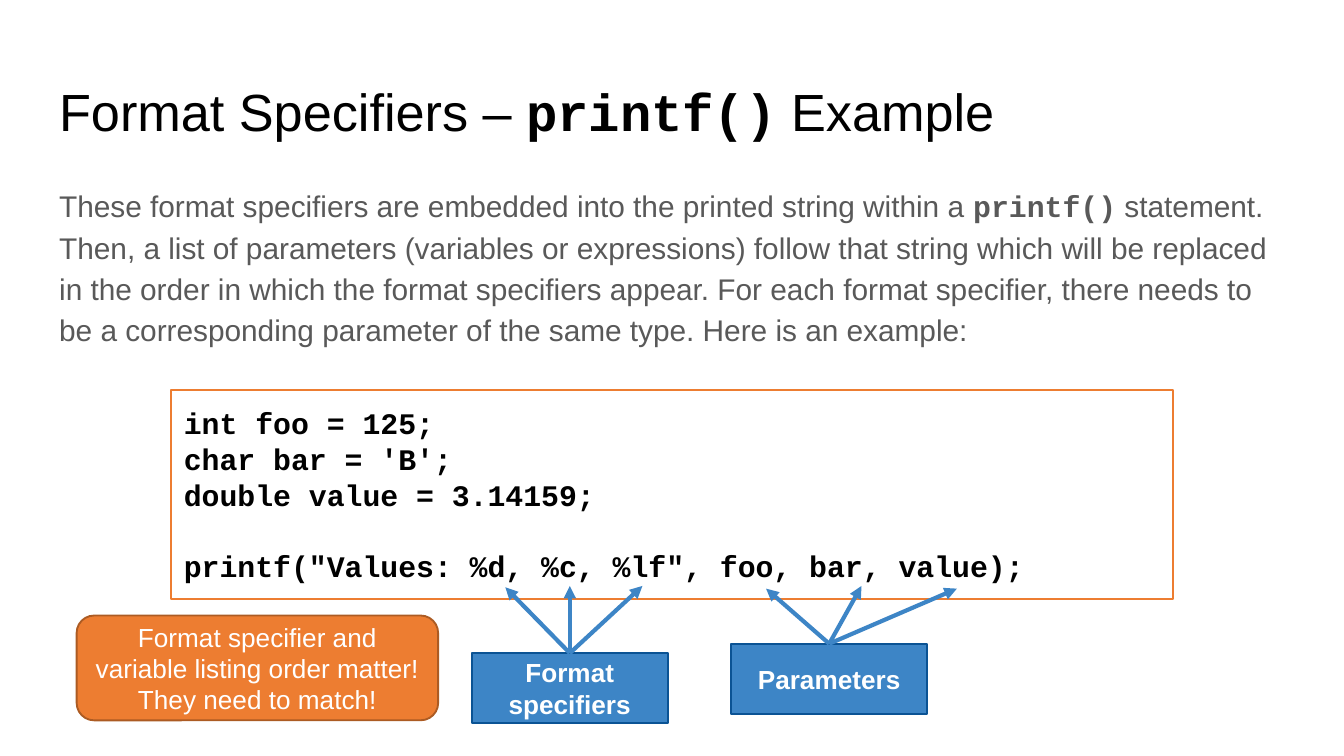
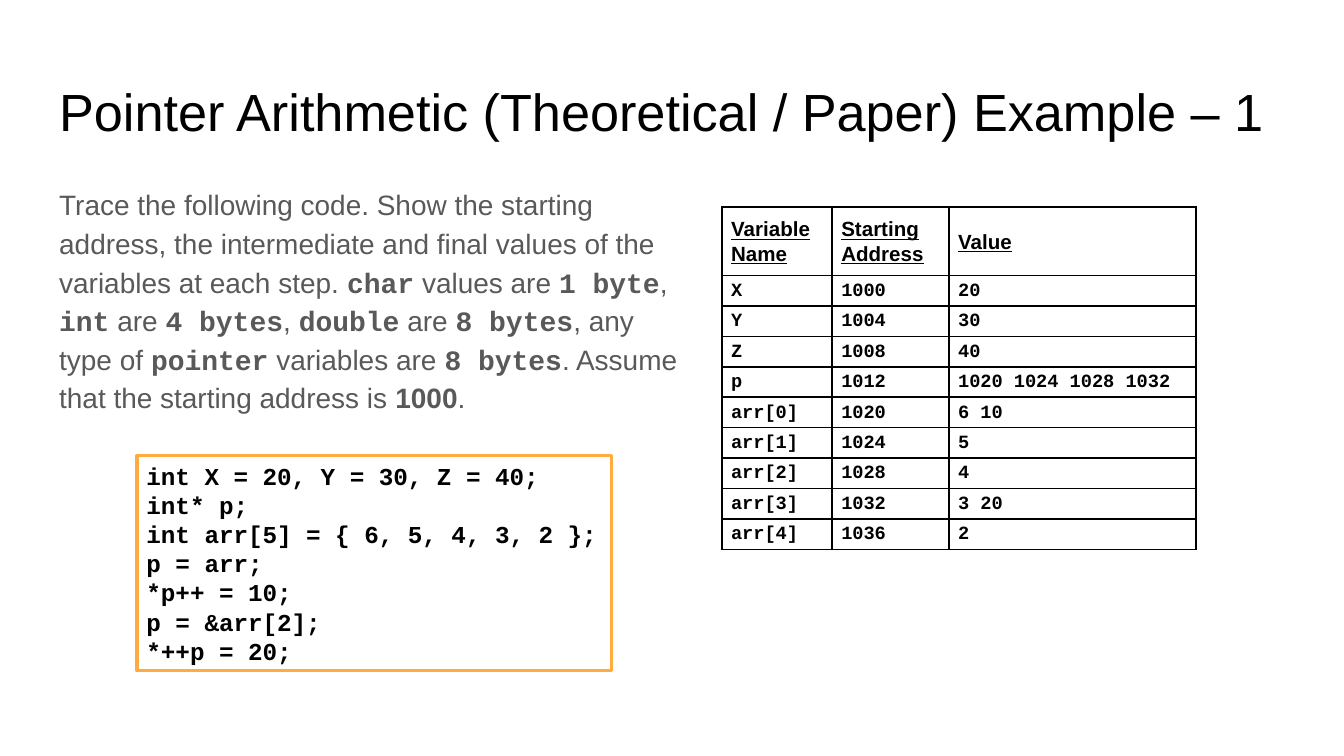
from lxml import etree
from pptx import Presentation
from pptx import util as u
from pptx.dml.color import RGBColor
from pptx.enum import shapes, text
from pptx.oxml.ns import qn

COLORS = {
    "black": "000000", "white": "FFFFFF", "body": "595959",
    "orange": "ED7D31", "dark_orange": "AC5B23", "amber": "FFAB40",
    "blue": "3D85C6", "dark_blue": "0B5394",
}
RGB = {name: RGBColor.from_string(value) for name, value in COLORS.items()}
# Run styles: font, bold, underline
STYLES = {
    "plain": ("Arial", False, False),
    "bold": ("Arial", True, False),
    "code": ("Courier New", True, False),
    "heading": ("Arial", True, True),
}
LEFT, CENTER = text.PP_ALIGN.LEFT, text.PP_ALIGN.CENTER
TOP, MIDDLE = text.MSO_ANCHOR.TOP, text.MSO_ANCHOR.MIDDLE


def write(frame, lines, size, color, margins=(0.1, 0.1), anchor=TOP,
          align=LEFT, spacing=1.0):
    """Fill a text frame; each line is a list of (text, style) runs."""
    frame.word_wrap = True
    frame.auto_size = text.MSO_AUTO_SIZE.NONE
    frame.vertical_anchor = anchor
    frame.margin_left = frame.margin_right = u.Inches(margins[0])
    frame.margin_top = frame.margin_bottom = u.Inches(margins[1])
    for index, runs in enumerate(lines):
        paragraph = frame.add_paragraph() if index else frame.paragraphs[0]
        paragraph.alignment = align
        paragraph.line_spacing = spacing
        paragraph.space_before = u.Pt(0)
        for content, style in runs:
            run = paragraph.add_run()
            run.text = content
            run.font.name, run.font.bold, run.font.underline = STYLES[style]
            run.font.size = u.Pt(size)
            run.font.color.rgb = RGB[color]


def add_box(slide, kind, place, fill, line, width):
    shape = slide.shapes.add_shape(kind, *map(u.Inches, place))
    shape.shadow.inherit = False
    shape.fill.solid()
    shape.fill.fore_color.rgb = RGB[fill]
    shape.line.color.rgb = RGB[line]
    shape.line.width = u.Pt(width)
    return shape


# Widescreen, 16 to 9
presentation = Presentation()
presentation.slide_width = u.Inches(10)
presentation.slide_height = u.Inches(10 * 9 / 16)

# Titles and body texts
pages = [
    ([("Format Specifiers – ", "plain"), ("printf()", "code"),
      (" Example", "plain")],
     [("These format specifiers are embedded into the printed string within a ",
       "plain"),
      ("printf()", "code"),
      (" statement. Then, a list of parameters (variables or expressions) "
       "follow that string which will be replaced in the order in which the "
       "format specifiers appear. For each format specifier, there needs to "
       "be a corresponding parameter of the same type. Here is an example:",
       "plain")],
     16, (9.32, 3.74)),
    ([("Pointer Arithmetic (Theoretical / Paper) Example – 1", "plain")],
     [("Trace the following code. Show the starting address, the intermediate "
       "and final values of the variables at each step. ", "plain"),
      ("char", "code"), (" values are ", "plain"), ("1 byte", "code"),
      (", ", "plain"), ("int", "code"), (" are ", "plain"),
      ("4 bytes", "code"), (", ", "plain"), ("double", "code"),
      (" are ", "plain"), ("8 bytes", "code"), (", any type of ", "plain"),
      ("pointer", "code"), (" variables are ", "plain"), ("8 bytes", "code"),
      (". Assume that the starting address is ", "plain"), ("1000", "bold"),
      (".", "plain")],
     15, (4.88, 2.93)),
]
for title_runs, body_runs, body_size, body_extent in pages:
    slide = presentation.slides.add_slide(presentation.slide_layouts[1])
    title, body = slide.shapes.title, slide.placeholders[1]
    for shape, place in ((title, (0.34, 0.49, 9.32, 0.63)),
                         (body, (0.34, 1.26, *body_extent))):
        shape.left, shape.top, shape.width, shape.height = map(u.Inches, place)
    write(title.text_frame, [title_runs], 28, "black")
    write(body.text_frame, [body_runs], body_size, "body", spacing=1.15)
    properties = body.text_frame.paragraphs[0]._p.get_or_add_pPr()
    properties.set("marL", "0")
    properties.set("indent", "0")
    etree.SubElement(properties, qn("a:buNone"))
printf_slide, pointer_slide = presentation.slides

# Slide 1: code box, with a gap above the printf line
code = ["int foo = 125;", "char bar = 'B';", "double value = 3.14159;",
        'printf("Values: %d, %c, %lf", foo, bar, value);']
code_box = add_box(printf_slide, shapes.MSO_SHAPE.RECTANGLE,
                   (1.27, 2.9, 7.46, 1.56), "white", "orange", 1)
write(code_box.text_frame, [[(line, "code")] for line in code], 16, "black",
      margins=(0.1, 0.05), anchor=MIDDLE)
code_box.text_frame.paragraphs[-1].space_before = u.Pt(19)

# Slide 1: warning
warning = add_box(printf_slide, shapes.MSO_SHAPE.ROUNDED_RECTANGLE,
                  (0.57, 4.58, 2.69, 0.78), "orange", "dark_orange", 1)
write(warning.text_frame,
      [[("Format specifier and variable listing order matter! "
         "They need to match!", "plain")]],
      14, "white", margins=(0.1, 0.05), anchor=MIDDLE, align=CENTER)

# Slide 1: labels with arrows fanning out from the top centre
label_width = 1.46
labels = [
    ("Format specifiers", 3.51, 4.86, [(3.76, 4.37), (4.24, 4.36), (4.78, 4.36)]),
    ("Parameters", 5.44, 4.79, [(5.7, 4.38), (6.41, 4.36), (7.12, 4.38)]),
]
for caption, left, top, targets in labels:
    label = add_box(printf_slide, shapes.MSO_SHAPE.RECTANGLE,
                    (left, top, label_width, 0.52), "blue", "dark_blue", 1)
    write(label.text_frame, [[(caption, "bold")]], 14, "white",
          anchor=MIDDLE, align=CENTER)
    for target in targets:
        arrow = printf_slide.shapes.add_connector(
            shapes.MSO_CONNECTOR.STRAIGHT,
            *map(u.Inches, (left + label_width / 2, top, *target)))
        arrow.line.color.rgb = RGB["blue"]
        arrow.line.width = u.Pt(2.25)
        etree.SubElement(arrow.line._get_or_add_ln(), qn("a:tailEnd"),
                         type="triangle")
        etree.SubElement(arrow._element.spPr, qn("a:effectLst"))

# Slide 2: code box
code = ["int X = 20, Y = 30, Z = 40;", "int* p;",
        "int arr[5] = { 6, 5, 4, 3, 2 };", "p = arr;", "*p++ = 10;",
        "p = &arr[2];", "*++p = 20;"]
code_box = add_box(pointer_slide, shapes.MSO_SHAPE.RECTANGLE,
                   (1.02, 3.39, 3.53, 1.6), "white", "amber", 2)
write(code_box.text_frame, [[(line, "code")] for line in code], 13, "black",
      margins=(0.07, 0.04))

# Slide 2: memory table
memory = [
    ("Variable Name", "Starting Address", "Value"),
    ("X", "1000", "20"),
    ("Y", "1004", "30"),
    ("Z", "1008", "40"),
    ("p", "1012", "1020 1024 1028 1032"),
    ("arr[0]", "1020", "6 10"),
    ("arr[1]", "1024", "5"),
    ("arr[2]", "1028", "4"),
    ("arr[3]", "1032", "3 20"),
    ("arr[4]", "1036", "2"),
]
table_height, header_height = 2.55, 0.51
row_height = (table_height - header_height) / (len(memory) - 1)
table = pointer_slide.shapes.add_table(
    len(memory), 3, *map(u.Inches, (5.37, 1.54, 3.53, table_height))).table
for column, width in zip(table.columns, (0.82, 0.87, 1.84)):
    column.width = u.Inches(width)
for row_index, values in enumerate(memory):
    is_header = row_index == 0
    table.rows[row_index].height = u.Inches(
        header_height if is_header else row_height)
    for column_index, value in enumerate(values):
        cell = table.cell(row_index, column_index)
        style, size = ("heading", 11) if is_header else ("code", 10)
        write(cell.text_frame, [[(value, style)]], size, "black", spacing=1.07)
        cell.vertical_anchor = MIDDLE
        cell.margin_left = cell.margin_right = u.Inches(0.07)
        cell.margin_top = cell.margin_bottom = 0
        cell.fill.background()
        cell_properties = cell._tc.get_or_add_tcPr()
        for position, side in enumerate(("lnL", "lnR", "lnT", "lnB")):
            border = etree.Element(qn(f"a:{side}"), w=str(u.Pt(1)))
            fill = etree.SubElement(border, qn("a:solidFill"))
            etree.SubElement(fill, qn("a:srgbClr"), val=COLORS["black"])
            cell_properties.insert(position, border)

presentation.save("out.pptx")
